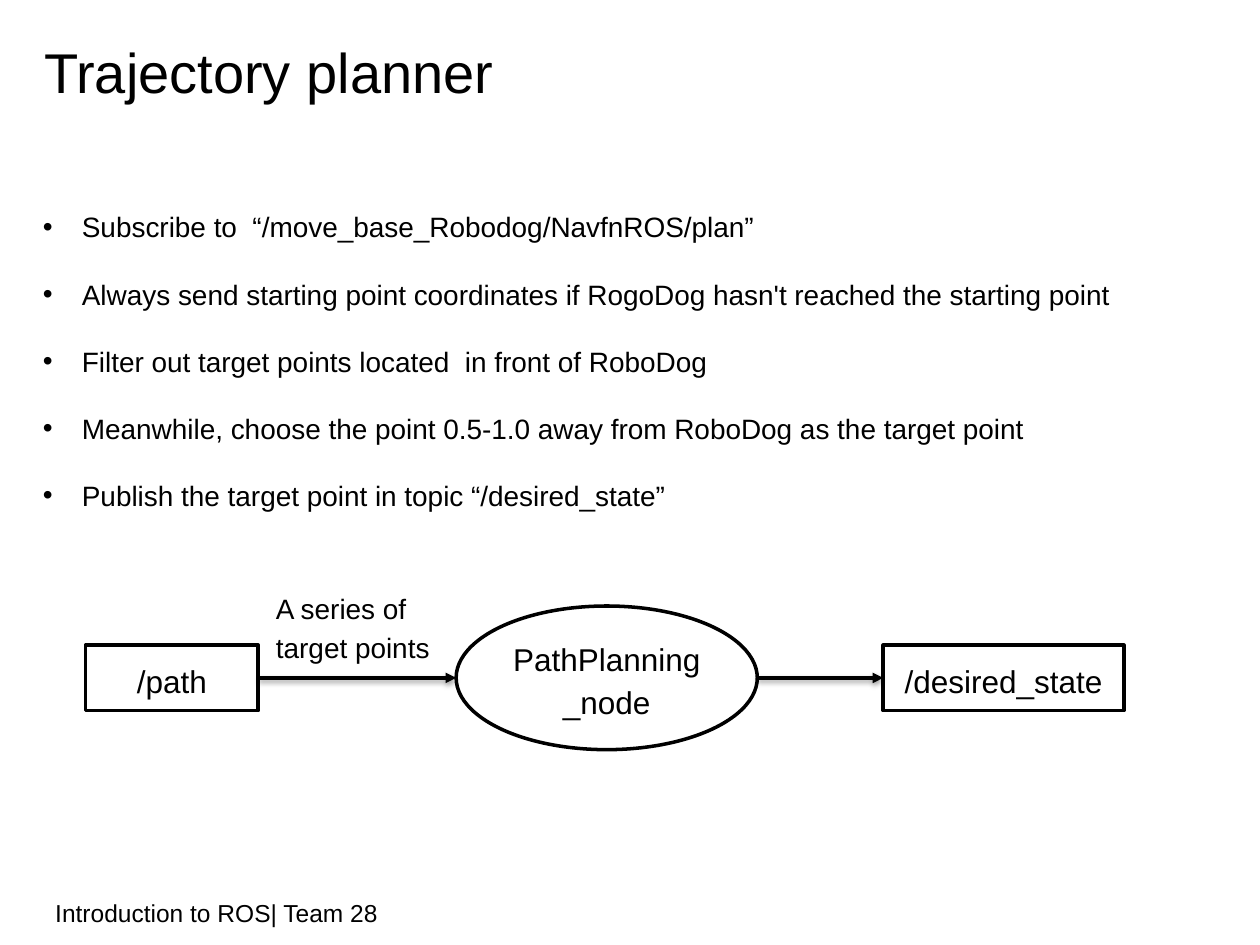
from lxml import etree
from pptx import Presentation
from pptx.dml.color import RGBColor
from pptx.enum import shapes, text
from pptx.oxml.ns import qn
from pptx.util import Inches, Pt

BLACK = RGBColor(0, 0, 0)
WHITE = RGBColor(255, 255, 255)
FONT = "Arial"

TITLE = "Trajectory planner"
FOOTER = "Introduction to ROS| Team 28"
BULLETS = [
    "Subscribe to  “/move_base_Robodog/NavfnROS/plan”",
    "Always send starting point coordinates if RogoDog hasn't reached the starting point",
    "Filter out target points located  in front of RoboDog",
    "Meanwhile, choose the point 0.5-1.0 away from RoboDog as the target point",
    "Publish the target point in topic “/desired_state”",
]
ARROW_LABEL = "A series of target points"

# Flow from left to right: text, shape, left, width, height
FLOW_Y = 5.38
NODES = [
    ("/path", shapes.MSO_SHAPE.RECTANGLE, 0.68, 1.37, 0.52),
    ("PathPlanning_node", shapes.MSO_SHAPE.OVAL, 3.62, 2.39, 1.14),
    ("/desired_state", shapes.MSO_SHAPE.RECTANGLE, 7.01, 1.91, 0.52),
]


def sub(parent, tag, **attrs):
    return etree.SubElement(parent, qn(tag), attrs)


def write(tf, lines, size, bullet=None, inset=True, **formats):
    """Fill a text frame with one paragraph per line."""
    if not inset:
        for side in ("left", "top", "right", "bottom"):
            setattr(tf, "margin_" + side, 0)
    for i, line in enumerate(lines):
        p = tf.paragraphs[0] if i == 0 else tf.add_paragraph()
        for name, value in formats.items():
            setattr(p, name, value)
        if bullet:
            pPr = p._p.get_or_add_pPr()
            pPr.set("marL", str(Inches(0.31)))
            pPr.set("indent", str(-Inches(0.31)))
            sub(pPr, "a:buFont", typeface=FONT)
            sub(pPr, "a:buChar", char=bullet)
        r = p.add_run()
        r.text = line
        r.font.name, r.font.size = FONT, Pt(size)
        r.font.color.rgb = BLACK


def add_text(s, box, lines, size, wrap=True, **formats):
    tf = s.shapes.add_textbox(*map(Inches, box)).text_frame
    tf.word_wrap = wrap
    write(tf, lines, size, **formats)


def add_node(s, label, kind, left, width, height):
    top = FLOW_Y - height / 2
    sp = s.shapes.add_shape(kind, *map(Inches, (left, top, width, height)))
    sp.shadow.inherit = False
    sp.fill.solid()
    sp.fill.fore_color.rgb = WHITE
    sp.line.color.rgb = BLACK
    sp.line.width = Pt(2)
    tf = sp.text_frame
    tf.word_wrap = True
    tf.vertical_anchor = text.MSO_ANCHOR.MIDDLE
    write(tf, [label], 18, alignment=text.PP_ALIGN.CENTER, line_spacing=1.14)


def add_arrow(s, start, end):
    """Draw a horizontal arrow with a soft shadow below it."""
    y = Inches(FLOW_Y)
    c = s.shapes.add_connector(shapes.MSO_CONNECTOR.STRAIGHT,
                               Inches(start), y, Inches(end), y)
    c.line.color.rgb = BLACK
    c.line.width = Pt(2)
    sub(c.line._get_or_add_ln(), "a:tailEnd", type="triangle")
    effects = sub(c._element.spPr, "a:effectLst")
    shadow = sub(effects, "a:outerShdw", blurRad=str(Pt(3.1)), dist=str(Pt(1.6)),
                 dir="5400000", rotWithShape="0")
    color = sub(shadow, "a:srgbClr", val=str(BLACK))
    sub(color, "a:alpha", val="38000")


def main():
    prs = Presentation()
    prs.slide_width, prs.slide_height = Inches(10), Inches(7.5)
    s = prs.slides.add_slide(prs.slide_layouts[6])

    add_text(s, (0.35, 0.39, 9.31, 0.45), [TITLE], 32, inset=False,
             line_spacing=Pt(32))
    add_text(s, (0.34, 7.08, 7.07, 0.4), [FOOTER], 14, space_after=Pt(6))
    add_text(s, (0.34, 1.4, 8.58, 2.61), BULLETS, 16, wrap=False, bullet="•",
             inset=False, line_spacing=2.0)

    for node in NODES:
        add_node(s, *node)
    for (_, _, left, width, _), target in zip(NODES, NODES[1:]):
        add_arrow(s, left + width, target[2])
    add_text(s, (2.19, 4.66, 1.37, 0.59), [ARROW_LABEL], 16, inset=False,
             line_spacing=1.14)

    prs.save("out.pptx")


if __name__ == "__main__":
    main()
